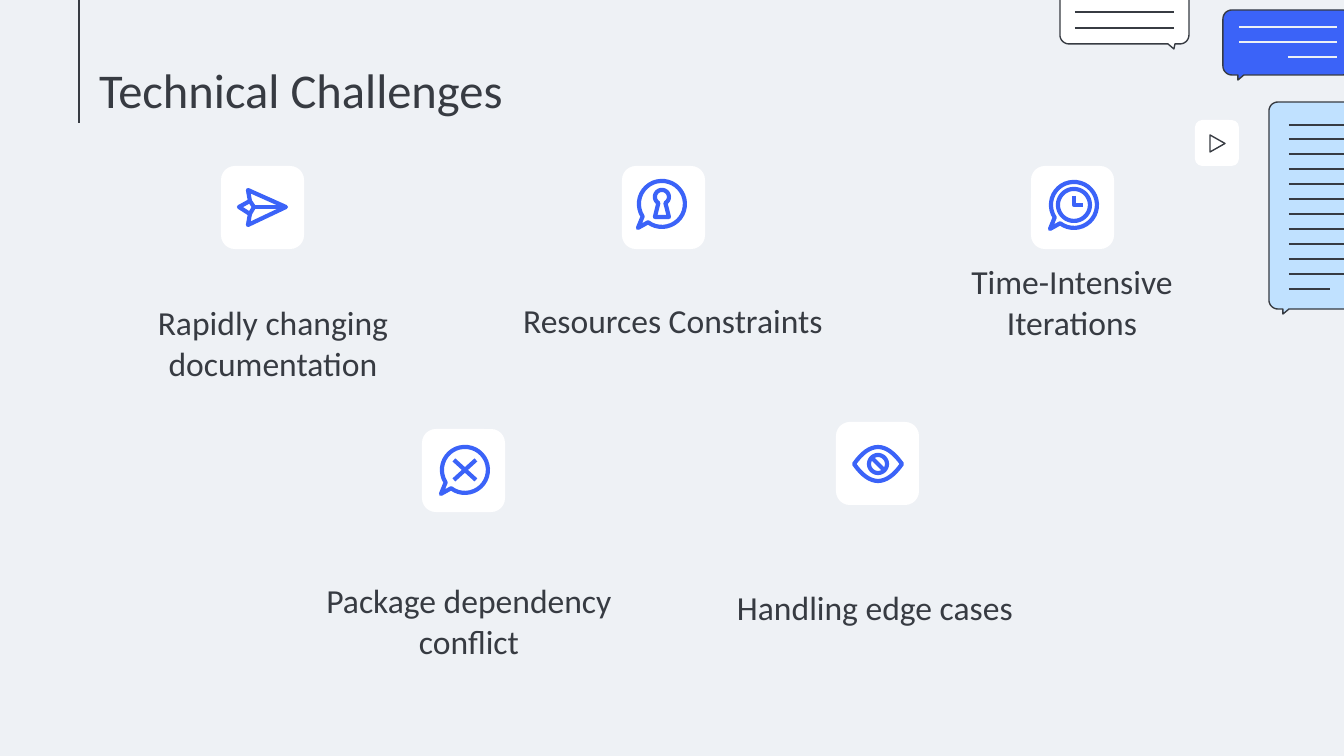
from dataclasses import dataclass
from math import cos, radians, sin

from lxml import etree
from pptx import Presentation
from pptx.dml.color import RGBColor
from pptx.enum.shapes import MSO_CONNECTOR, MSO_SHAPE
from pptx.enum.text import MSO_ANCHOR, MSO_AUTO_SIZE, PP_ALIGN
from pptx.oxml.ns import qn
from pptx.util import Pt

ROUND, PLAY = MSO_SHAPE.ROUNDED_RECTANGLE, MSO_SHAPE.ISOSCELES_TRIANGLE
STRAIGHT = MSO_CONNECTOR.STRAIGHT
LEFT, CENTER = PP_ALIGN.LEFT, PP_ALIGN.CENTER
TOP, BOTTOM = MSO_ANCHOR.TOP, MSO_ANCHOR.BOTTOM
FIXED = MSO_AUTO_SIZE.NONE


@dataclass(frozen=True)
class Theme:
    back: str = "EEF1F5"
    ink: str = "373B42"
    blue: str = "3B63F8"
    sky: str = "C0E1FF"
    white: str = "FFFFFF"
    font: str = "Calibri"
    title: int = 26
    label: int = 18
    thin: float = 0.75
    bold: float = 2.25


T = Theme()
TITLE = "Technical Challenges"
ITEMS = [
    ("Rapidly changing documentation", (101, 323), (221, 166), "send"),
    ("Resources Constraints", (501, 280), (622, 166), "lock"),
    ("Time-Intensive Iterations", (900, 282), (1031, 166), "clock"),
    ("Package dependency conflict", (297, 601), (422, 429), "cross"),
    ("Handling edge cases", (703, 567), (836, 422), "eye"),
]
BUBBLES = [
    {"box": (1060, -20, 129, 64), "tail": (115, 114, 108), "fill": T.white, "ink": T.ink,
     "rows": [(1075, 1174, 12), (1075, 1174, 28)]},
    {"box": (1223, 10, 129, 65), "tail": (21, 15, 15), "fill": T.blue, "ink": T.back,
     "rows": [(1239, 1337, 27), (1239, 1337, 42), (1288, 1337, 57)]},
    {"box": (1269, 102, 129, 207), "tail": (20, 14, 14), "fill": T.sky, "ink": T.ink,
     "rows": [(1289, 1330 if i == 11 else 1378, 125 + 164 * i // 11) for i in range(12)]},
]
TILE = 83


def arc(x, y, r, start, end, step=10):
    return [(x + r * cos(radians(a)), y + r * sin(radians(a)))
            for a in range(start, end + 1, step)]


def ring(r):
    return arc(0, 0, r, 0, 350), True


CHAT = arc(0, 0, 23, 147, 487) + [(-24, 24)], True
LENS = [(x, 17 * ((x / 24) ** 2 - 1)) for x in range(-24, 25, 3)]
ICONS = {
    "send": ((42, 41), [
        ([(23, 0), (-15, -17), (-13, -6), (-24, 0), (-13, 7), (-15, 18)], True),
        ([(-13, -6), (-9, 0), (-13, 7)], False),
        ([(-9, 0), (23, 0)], False)]),
    "lock": ((40, 38), [
        CHAT, (arc(0, -7, 7, 120, 420) + [(7, 13), (-7, 13)], True)]),
    "clock": ((43, 39), [
        CHAT, ring(16), ([(0, -9), (0, 0), (9, 0)], False)]),
    "cross": ((43, 41), [
        CHAT, ([(-11, -10), (11, 10)], False), ([(-11, 10), (11, -10)], False)]),
    "eye": ((42, 42), [
        (LENS + [(x, -y) for x, y in LENS[-2:0:-1]], True),
        ring(9), ([(-6, -6), (6, 6)], False)]),
}

SCALE = 914400 / 134.4


def px(*nums):
    return [round(n * SCALE) for n in nums]


def rgb(code):
    return RGBColor.from_string(code)


def paint(shape, fill=None, line=None, width=T.thin):
    shape.shadow.inherit = False
    if fill:
        shape.fill.solid()
        shape.fill.fore_color.rgb = rgb(fill)
    else:
        shape.fill.background()
    if line:
        shape.line.color.rgb = rgb(line)
        shape.line.width = Pt(width)
    else:
        shape.line.fill.background()


def rule(x1, y1, x2, y2, ink):
    line = slide.shapes.add_connector(STRAIGHT, *px(x1, y1, x2, y2))
    line.line.color.rgb = rgb(ink)
    line.line.width = Pt(T.thin)
    etree.SubElement(line._element.spPr, qn("a:effectLst"))


def trace(paths, x, y):
    pen = None
    for dots, shut in paths:
        dots = [px(x + a, y + b) for a, b in dots]
        if pen is None:
            pen = slide.shapes.build_freeform(*dots[0], scale=1.0)
        else:
            pen.move_to(*dots[0])
        pen.add_line_segments(dots[1:], close=shut)
    return pen.convert_to_shape()


def block(kind, box, fill=None, line=None):
    shape = slide.shapes.add_shape(kind, *px(*box))
    paint(shape, fill, line)
    return shape


def write(shape, text, size, align, anchor):
    frame = shape.text_frame
    frame.word_wrap = True
    frame.auto_size = FIXED
    frame.vertical_anchor = anchor
    pad, = px(13)
    frame.margin_left = frame.margin_right = pad
    frame.margin_top = frame.margin_bottom = pad
    frame.text = text
    para = frame.paragraphs[0]
    para.alignment = align
    para.line_spacing = 1.0
    para.font.name = T.font
    para.font.size = Pt(size)
    para.font.color.rgb = rgb(T.ink)


def bubble(box, tail, fill, ink, rows):
    x, y, w, h = box
    r = 9
    right, tip, left = tail
    dots = (arc(r, r, r, 180, 270) + arc(w - r, r, r, 270, 360)
            + arc(w - r, h - r, r, 0, 90)
            + [(right, h), (tip, h + 5), (left, h)]
            + arc(r, h - r, r, 90, 180))
    paint(trace([(dots, True)], x, y), fill, T.ink)
    for start, end, level in rows:
        rule(start, level, end, level, ink)


deck = Presentation()
deck.slide_width, deck.slide_height = px(1344, 756)
slide = deck.slides.add_slide(deck.slide_layouts[5])
slide.background.fill.solid()
slide.background.fill.fore_color.rgb = rgb(T.back)

head = slide.shapes.title
head.left, head.top, head.width, head.height = px(86, 47, 1133, 85)
write(head, TITLE, T.title, LEFT, TOP)
rule(79, -32, 79, 123, T.ink)

for part in BUBBLES:
    bubble(**part)
block(ROUND, (1195, 120, 44, 46), T.white)
block(PLAY, (1209, 136, 17, 15), line=T.ink).rotation = 90

for text, (left, top), (x, y), name in ITEMS:
    label = slide.shapes.add_textbox(*px(left, top, 344, 73))
    write(label, text, T.label, CENTER, BOTTOM)
    block(ROUND, (x, y, TILE, TILE), T.white)
    (dx, dy), paths = ICONS[name]
    paint(trace(paths, x + dx, y + dy), line=T.blue, width=T.bold)

deck.save("out.pptx")
